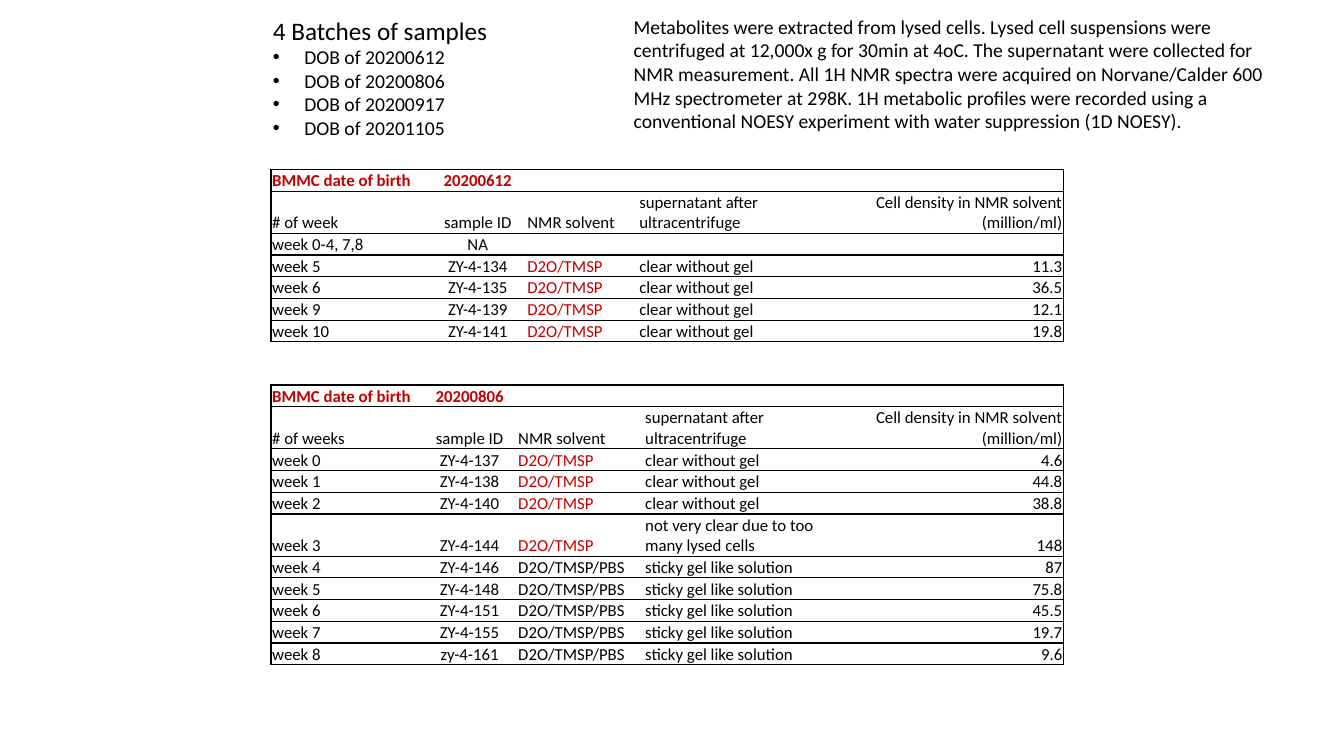
import pptx
import pptx.util
import pptx.dml.color
import pptx.enum.text
import pptx.oxml.ns
import lxml.etree

Cm = pptx.util.Cm
ALIGN = pptx.enum.text.PP_ALIGN
FONT, BLACK, RED, WHITE = "Calibri", "000000", "C00000", "FFFFFF"

BATCH_TITLE = "4 Batches of samples"
BATCHES = ["20200612", "20200806", "20200917", "20201105"]
METHOD = (
    "Metabolites were extracted from lysed cells. Lysed cell suspensions were "
    "centrifuged at 12,000x g for 30min at 4oC. The supernatant were collected for "
    "NMR measurement. All 1H NMR spectra were acquired on Norvane/Calder 600 MHz "
    "spectrometer at 298K. 1H metabolic profiles were recorded using a conventional "
    "NOESY experiment with water suppression (1D NOESY)."
)

HEADINGS = ["sample ID", "NMR solvent", "supernatant after ultracentrifuge",
            "Cell density in NMR solvent (million/ml)"]
PLAIN, BUFFERED = "D2O/TMSP", "D2O/TMSP/PBS"
CLEAR, STICKY = "clear without gel", "sticky gel like solution"
CLOUDY = "not very clear due to too many lysed cells"
ALIGNMENTS = [ALIGN.LEFT, ALIGN.CENTER, ALIGN.LEFT, ALIGN.LEFT, ALIGN.RIGHT]

TABLES = [
    {"birth": "20200806", "week_heading": "# of weeks", "top": 9.7,
     "widths": [3.81, 2.39, 3.2, 5.09, 5.48],
     "samples": [
         ("week 0", "ZY-4-137", PLAIN, CLEAR, "4.6"),
         ("week 1", "ZY-4-138", PLAIN, CLEAR, "44.8"),
         ("week 2", "ZY-4-140", PLAIN, CLEAR, "38.8"),
         ("week 3", "ZY-4-144", PLAIN, CLOUDY, "148"),
         ("week 4", "ZY-4-146", BUFFERED, STICKY, "87"),
         ("week 5", "ZY-4-148", BUFFERED, STICKY, "75.8"),
         ("week 6", "ZY-4-151", BUFFERED, STICKY, "45.5"),
         ("week 7", "ZY-4-155", BUFFERED, STICKY, "19.7"),
         ("week 8", "zy-4-161", BUFFERED, STICKY, "9.6"),
     ]},
    {"birth": "20200612", "week_heading": "# of week", "top": 4.27,
     "widths": [3.99, 2.44, 2.82, 5.06, 5.66],
     "samples": [
         ("week 0-4, 7,8", "NA", "", "", ""),
         ("week 5", "ZY-4-134", PLAIN, CLEAR, "11.3"),
         ("week 6", "ZY-4-135", PLAIN, CLEAR, "36.5"),
         ("week 9", "ZY-4-139", PLAIN, CLEAR, "12.1"),
         ("week 10", "ZY-4-141", PLAIN, CLEAR, "19.8"),
     ]},
]
TABLE_LEFT, ROW_HEIGHT, TALL_ROW_HEIGHT = 6.83, 0.54, 1.06


def color(value):
    """Turn a hex string into a colour."""
    return pptx.dml.color.RGBColor.from_string(value)


def add_element(parent, tag, **attributes):
    """Append a DrawingML element to a parent."""
    return lxml.etree.SubElement(parent, pptx.oxml.ns.qn(tag), attributes)


def write(paragraph, text, size=12, font_color=BLACK, bold=False, align=None):
    """Fill a paragraph with one formatted run."""
    paragraph.alignment = align
    if not text:
        add_element(paragraph._p, "a:endParaRPr", sz=str(size * 100))
        return
    run = paragraph.add_run()
    run.text = text
    run.font.name, run.font.size = FONT, pptx.util.Pt(size)
    run.font.bold, run.font.color.rgb = bold, color(font_color)


def add_bullet(paragraph):
    """Give a paragraph a hanging bullet."""
    properties = paragraph._p.get_or_add_pPr()
    indent = Cm(0.79)
    properties.set("marL", str(indent))
    properties.set("indent", str(-indent))
    add_element(properties, "a:buFont", typeface="Arial")
    add_element(properties, "a:buChar", char="•")


def add_text_box(left, top, width, height):
    """Add a wrapping text box and return its text frame."""
    box = slide.shapes.add_textbox(Cm(left), Cm(top), Cm(width), Cm(height))
    box.text_frame.word_wrap = True
    return box.text_frame


def set_borders(cell, visible):
    """Draw black lines on the visible sides and none on the others."""
    properties = cell._tc.get_or_add_tcPr()
    for side in "LRTB":
        line = add_element(properties, "a:ln" + side, w=str(pptx.util.Pt(1)))
        if side in visible:
            add_element(add_element(line, "a:solidFill"), "a:srgbClr", val=BLACK)
        else:
            add_element(line, "a:noFill")


def add_sample_table(birth, week_heading, top, widths, samples):
    """Add the table of one batch."""
    rows = [("BMMC date of birth", birth, "", "", ""), (week_heading, *HEADINGS), *samples]
    heights = [TALL_ROW_HEIGHT if HEADINGS[2] in row or CLOUDY in row else ROW_HEIGHT
               for row in rows]
    table = slide.shapes.add_table(len(rows), len(widths), Cm(TABLE_LEFT), Cm(top),
                                   Cm(sum(widths)), Cm(sum(heights))).table
    table.first_row = table.horz_banding = False
    for column, width in zip(table.columns, widths):
        column.width = Cm(width)
    for row_index, row in enumerate(rows):
        table.rows[row_index].height = Cm(heights[row_index])
        for column_index, text in enumerate(row):
            cell = table.cell(row_index, column_index)
            cell.margin_left = cell.margin_right = cell.margin_top = Cm(0.03)
            cell.margin_bottom = 0
            cell.vertical_anchor = pptx.enum.text.MSO_ANCHOR.BOTTOM
            outer_side = {0: "L", len(row) - 1: "R"}.get(column_index, "")
            set_borders(cell, "TB" + outer_side)
            cell.fill.solid()
            cell.fill.fore_color.rgb = color(WHITE)
            is_title = row_index == 0
            write(cell.text_frame.paragraphs[0], text, bold=is_title,
                  font_color=RED if is_title or text == PLAIN else BLACK,
                  align=ALIGNMENTS[column_index])


presentation = pptx.Presentation()
presentation.slide_width, presentation.slide_height = Cm(33.87), Cm(19.05)
slide = presentation.slides.add_slide(presentation.slide_layouts[6])

for batch_table in TABLES:
    add_sample_table(**batch_table)

batch_frame = add_text_box(6.63, 0.25, 6.32, 3.43)
write(batch_frame.paragraphs[0], BATCH_TITLE, size=18)
for batch in BATCHES:
    batch_paragraph = batch_frame.add_paragraph()
    write(batch_paragraph, "DOB of " + batch, size=14)
    add_bullet(batch_paragraph)

method_frame = add_text_box(15.72, 0.25, 16.71, 3.25)
write(method_frame.paragraphs[0], METHOD, size=14)

presentation.save("out.pptx")
